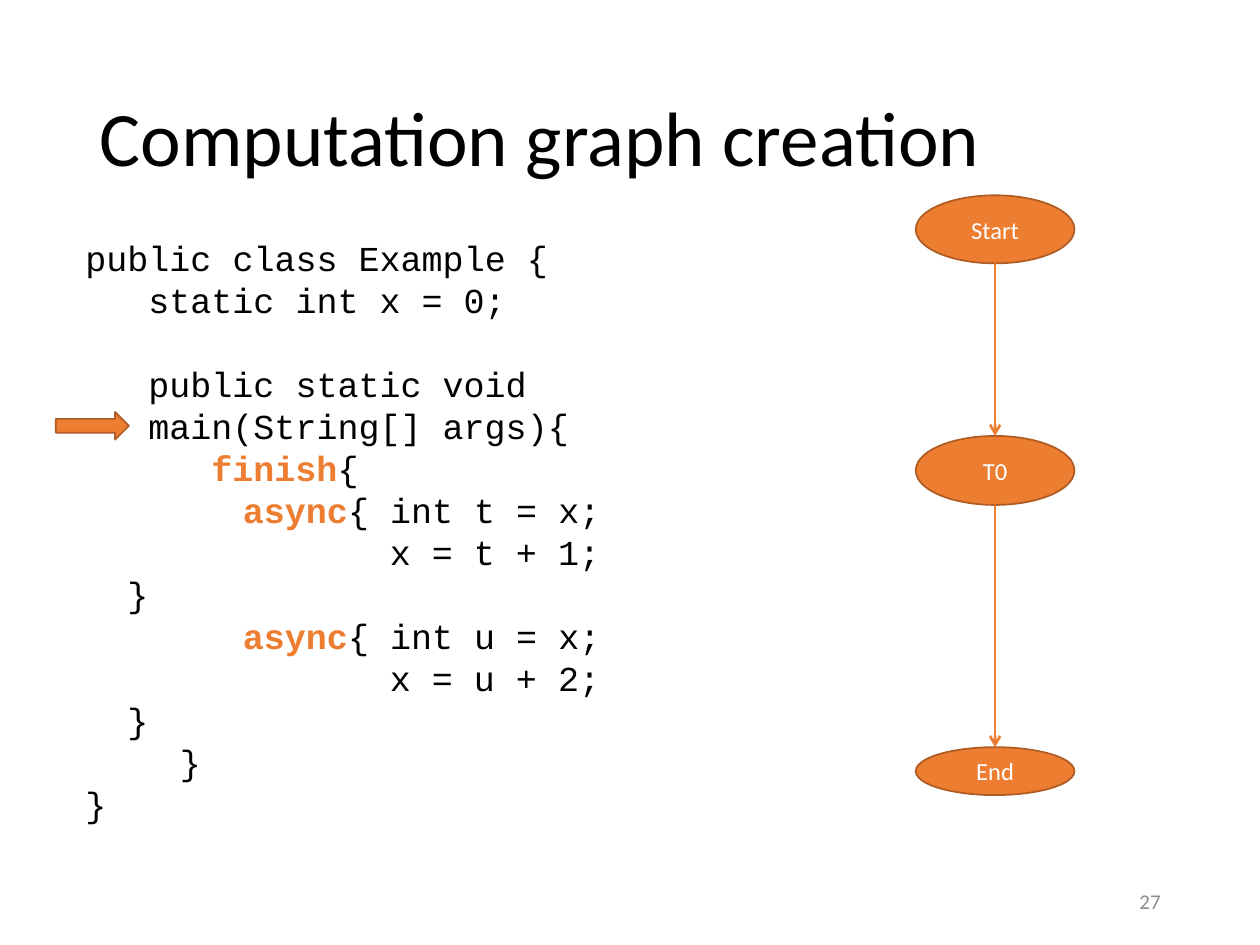
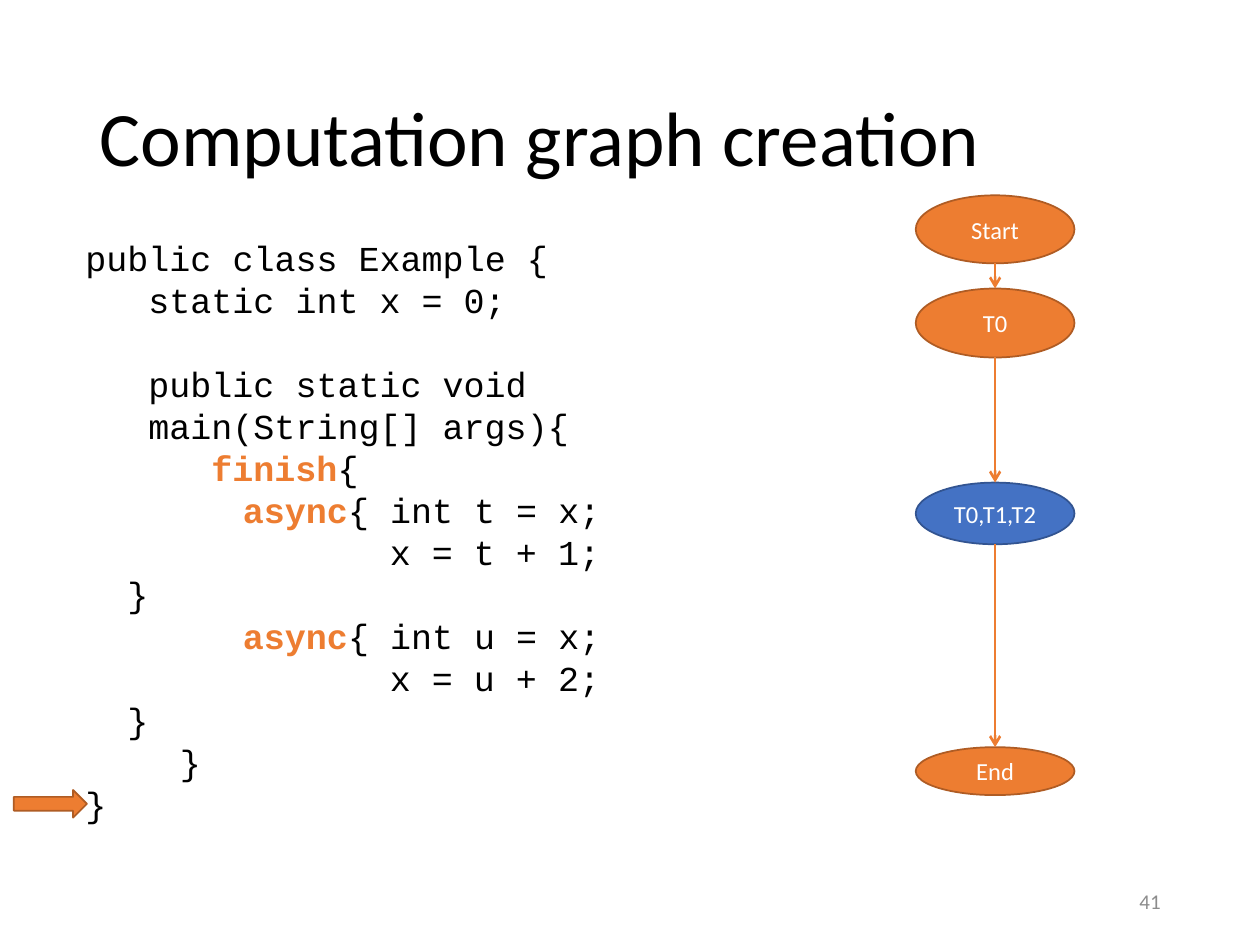
from lxml import etree
from pptx import Presentation
from pptx.dml.color import RGBColor
from pptx.enum.shapes import MSO_CONNECTOR as Connector, MSO_SHAPE as Shape
from pptx.enum.text import MSO_ANCHOR as Anchor, PP_ALIGN as Align
from pptx.oxml.ns import qn
from pptx.util import Inches, Pt

WIDTH, HEIGHT = Inches(10), Inches(7.5)
TITLE_ONLY = 5
BODY_FONT, CODE_FONT = "Calibri", "Courier New"

BLACK = RGBColor(0x00, 0x00, 0x00)
WHITE = RGBColor(0xFF, 0xFF, 0xFF)
GREY = RGBColor(0x8C, 0x8C, 0x8C)
ORANGE = RGBColor(0xED, 0x7D, 0x31)
DARK_ORANGE = RGBColor(0xAF, 0x5C, 0x24)
BLUE = RGBColor(0x44, 0x72, 0xC4)
DARK_BLUE = RGBColor(0x32, 0x54, 0x91)

# The code sits on a grid of characters and lines.
CODE_COLUMN, CODE_ROW = Pt(12), Pt(24)
CODE_LEFT, CODE_TOP = Inches(0.69), Inches(1.88)

# Row, column, keyword, rest of the line; row 2 stays free.
CODE = [
    (0, 0, "", "public class Example {"),
    (1, 3, "", "static int x = 0;"),
    (3, 3, "", "public static void"),
    (4, 3, "", "main(String[] args){"),
    (5, 6, "finish", "{"),
    (6, 7.5, "async", "{ int t = x;"),
    (7, 14.5, "", "x = t + 1;"),
    (8, 2, "", "}"),
    (9, 7.5, "async", "{ int u = x;"),
    (10, 14.5, "", "x = u + 2;"),
    (11, 2, "", "}"),
    (12, 4.5, "", "}"),
    (13, 0, "", "}"),
]

# Label, top and height in percent of the slide's height, fill, outline.
START = ("Start", 20.67, 7.2, ORANGE, DARK_ORANGE)
END = ("End", 79.07, 5.07, ORANGE, DARK_ORANGE)
NODE_CENTER, NODE_WIDTH = 78.98, 12.6

# Page number, nodes, code row and column that the pointer marks.
STEPS = [
    ("27", [START, ("T0", 46.13, 7.3, ORANGE, DARK_ORANGE), END], 4, 2),
    ("41", [START, ("T0", 30.53, 7.3, ORANGE, DARK_ORANGE),
            ("T0,T1,T2", 51.07, 6.53, BLUE, DARK_BLUE), END], 13, 0),
]


def across(percent):
    return round(WIDTH * percent / 100)


def down(percent):
    return round(HEIGHT * percent / 100)


def add_span(para, text, size, color, font=BODY_FONT, bold=False):
    span = para.add_run()
    span.text = text
    span.font.name, span.font.size = font, Pt(size)
    span.font.color.rgb, span.font.bold = color, bold


def add_preset(page, kind, area, fill=None, outline=None):
    """Add a shape without shadow; no colour means no fill or no line."""
    shape = page.shapes.add_shape(kind, *area)
    shape.shadow.inherit = False
    if fill is None:
        shape.fill.background()
    else:
        shape.fill.solid()
        shape.fill.fore_color.rgb = fill
    if outline is None:
        shape.line.fill.background()
    else:
        shape.line.color.rgb = outline
        shape.line.width = Pt(1)
    return shape


def set_title(page, text):
    title = page.shapes.title
    title.left, title.top = across(6.9), down(5.33)
    title.width, title.height = across(86.2), down(19.33)
    title.text_frame.vertical_anchor = Anchor.MIDDLE
    para = title.text_frame.paragraphs[0]
    para.alignment, para.line_spacing = Align.LEFT, 0.9
    add_span(para, text, 44, BLACK)


def add_page_number(page, number):
    box = page.shapes.add_textbox(across(70.6), down(92.67), across(22.5), down(5.33))
    box.text_frame.word_wrap = True
    box.text_frame.vertical_anchor = Anchor.MIDDLE
    para = box.text_frame.paragraphs[0]
    para.alignment = Align.RIGHT
    add_span(para, number, 12, GREY)


def add_code(page):
    area = across(3.3), down(20.67), across(51.1), down(70.93)
    frame = add_preset(page, Shape.ROUNDED_RECTANGLE, area).text_frame
    frame.word_wrap = True
    frame.vertical_anchor = Anchor.MIDDLE
    previous_row = -1
    for row, column, keyword, rest in CODE:
        para = frame.add_paragraph() if row else frame.paragraphs[0]
        para.alignment, para.line_spacing = Align.LEFT, CODE_ROW
        para.space_before = CODE_ROW * (row - previous_row - 1)
        para._p.get_or_add_pPr().set("marL", str(round(CODE_COLUMN * column)))
        if keyword:
            add_span(para, keyword, 20, ORANGE, CODE_FONT, bold=True)
        add_span(para, rest, 20, BLACK, CODE_FONT)
        previous_row = row


def add_pointer(page, row, column):
    """Add the block arrow whose tip touches a place in the code."""
    width, height = across(5.8), down(2.93)
    left = round(CODE_LEFT + column * CODE_COLUMN - width)
    top = round(CODE_TOP + (row + 0.5) * CODE_ROW - height / 2)
    add_preset(page, Shape.RIGHT_ARROW, (left, top, width, height), ORANGE, DARK_ORANGE)


def add_node(page, label, top, height, fill, outline):
    area = across(NODE_CENTER - NODE_WIDTH / 2), down(top), across(NODE_WIDTH), down(height)
    frame = add_preset(page, Shape.OVAL, area, fill, outline).text_frame
    frame.margin_left = frame.margin_right = frame.margin_top = frame.margin_bottom = 0
    frame.word_wrap = True
    frame.vertical_anchor = Anchor.MIDDLE
    para = frame.paragraphs[0]
    para.alignment = Align.CENTER
    add_span(para, label, 14, WHITE)


def add_arrow(page, top, bottom):
    center = across(NODE_CENTER)
    arrow = page.shapes.add_connector(Connector.STRAIGHT, center, down(top), center, down(bottom))
    arrow.line.color.rgb, arrow.line.width = ORANGE, Pt(1.5)
    etree.SubElement(arrow.line._get_or_add_ln(), qn("a:tailEnd"), type="arrow")
    etree.SubElement(arrow._element.spPr, qn("a:effectLst"))


def add_graph(page, nodes):
    for node in nodes:
        add_node(page, *node)
    for (_, top, height, *_), (_, next_top, *_) in zip(nodes, nodes[1:]):
        add_arrow(page, top + height, next_top)


def main():
    deck = Presentation()
    deck.slide_width, deck.slide_height = WIDTH, HEIGHT
    for number, nodes, row, column in STEPS:
        page = deck.slides.add_slide(deck.slide_layouts[TITLE_ONLY])
        set_title(page, "Computation graph creation")
        add_page_number(page, number)
        add_graph(page, nodes)
        add_code(page)
        add_pointer(page, row, column)
    deck.save("out.pptx")


if __name__ == "__main__":
    main()
